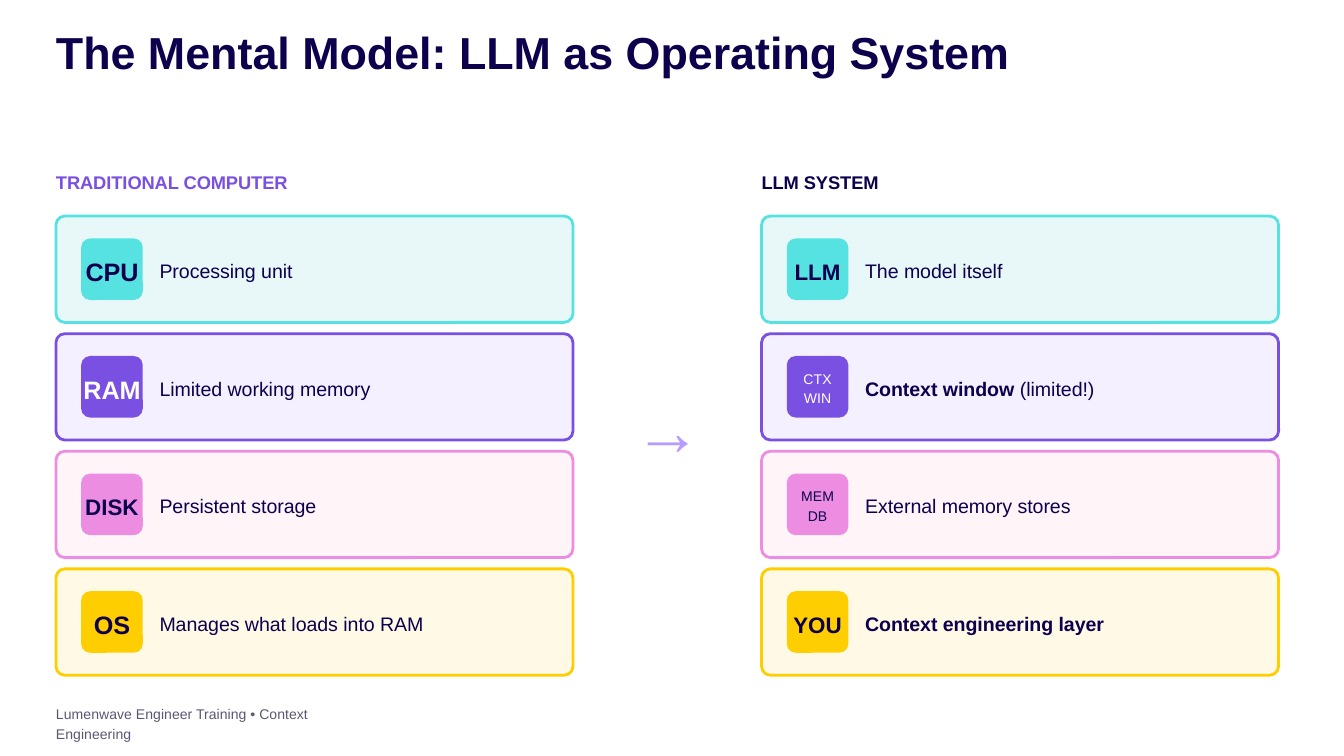
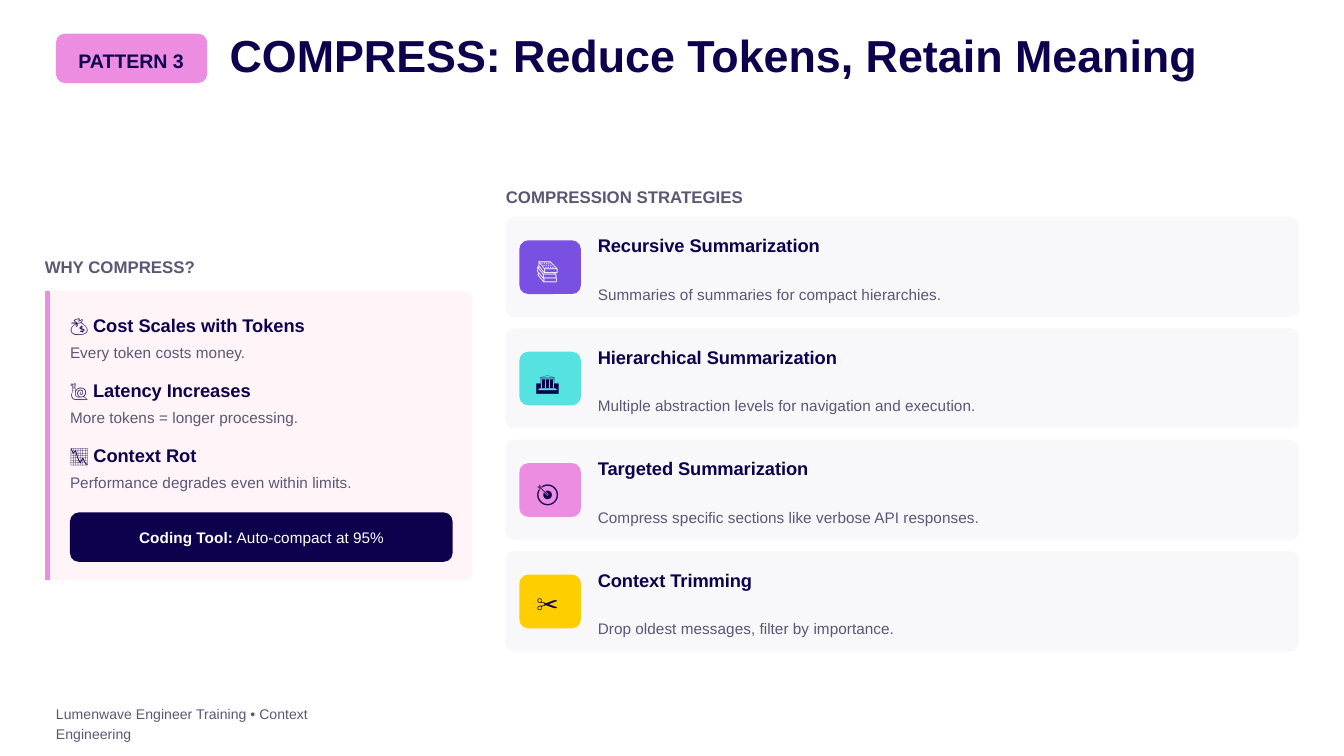
from lxml import etree
from pptx import Presentation
from pptx import util as u
from pptx.dml.color import RGBColor
from pptx.enum import shapes, text
from pptx.oxml.ns import qn

Pt = u.Pt
FONT = "Arial"
FOOTER = "Lumenwave Engineer Training • Context Engineering"
C = {
    "navy": "0D004D", "grey": "5A5775", "white": "FFFFFF", "lilac": "B79BFE",
    "teal": "56E2E1", "purple": "7950E2", "pink": "EC8DE2", "yellow": "FFCE00",
    "teal_bg": "E8F7F7", "purple_bg": "F5F0FF", "pink_bg": "FFF5F8",
    "yellow_bg": "FFF9E6", "card": "F8F7FA",
}
LEFT, CENTER = text.PP_ALIGN.LEFT, text.PP_ALIGN.CENTER


def box(s, x, y, w, h, radius, fill, line=None):
    """Rounded rectangle with a corner radius in points."""
    sp = s.shapes.add_shape(shapes.MSO_SHAPE.ROUNDED_RECTANGLE, Pt(x), Pt(y), Pt(w), Pt(h))
    sp.adjustments[0] = radius / min(w, h)
    sp.shadow.inherit = False
    sp.fill.solid()
    sp.fill.fore_color.rgb = RGBColor.from_string(C[fill])
    if line:
        sp.line.color.rgb = RGBColor.from_string(C[line])
        sp.line.width = Pt(1.5)
    else:
        sp.line.fill.background()


def write(s, x, y, w, h, words, size, color="navy", bold=False, align=LEFT, wrap=True, title=False):
    """Text without insets; a bar in a line ends its bold lead."""
    sp = s.shapes.title if title else s.shapes.add_textbox(0, 0, 0, 0)
    sp.left, sp.top, sp.width, sp.height = Pt(x), Pt(y), Pt(w), Pt(h)
    tf = sp.text_frame
    tf.margin_left = tf.margin_top = tf.margin_right = tf.margin_bottom = 0
    tf.auto_size = text.MSO_AUTO_SIZE.NONE
    tf.vertical_anchor = text.MSO_ANCHOR.TOP
    tf.word_wrap = wrap
    tf.text = words
    for p in tf.paragraphs:
        lead, _, rest = p.text.partition("|")
        p.text = lead
        if rest:
            p.add_run().text = rest
        p.alignment = align
        p.line_spacing = Pt(size if title else round(size * 1.4, 2))
        for i, r in enumerate(p.runs):
            r.font.name, r.font.size = FONT, Pt(size)
            r.font.bold = bold and i == 0
            r.font.color.rgb = RGBColor.from_string(C[color])


prs = Presentation()
prs.slide_width, prs.slide_height = Pt(720), Pt(405)
title_only = prs.slide_layouts[5]

# Slide 1: two stacks of matching cards
s = prs.slides.add_slide(title_only)
write(s, 30, 18, 521, 24, "The Mental Model: LLM as Operating System", 24, bold=True, title=True)

# Each row: chip label, label size, label width, description, bold
stacks = [
    (30, "TRADITIONAL COMPUTER", "purple", [
        ("CPU", 13.5, 29, "Processing unit", False),
        ("RAM", 13.5, 32, "Limited working memory", False),
        ("DISK", 12, 29.5, "Persistent storage", False),
        ("OS", 13.5, 20, "Manages what loads into RAM", False)]),
    (408, "LLM SYSTEM", "navy", [
        ("LLM", 12, 25, "The model itself", False),
        ("CTX\nWIN", 7.5, 15, "Context window| (limited!)", True),
        ("MEM\nDB", 7.5, 18, "External memory stores", False),
        ("YOU", 12, 26.5, "Context engineering layer", True)]),
]
hues = ["teal", "purple", "pink", "yellow"]
for x, heading, heading_color, rows in stacks:
    write(s, x, 90, 283, 13.7, heading, 9.75, heading_color, bold=True)
    for i, (hue, (label, size, label_w, desc, bold)) in enumerate(zip(hues, rows)):
        y = 115.75 + 63 * i
        box(s, x, y, 277, 57, 4.8, hue + "_bg", hue)
        box(s, x + 13.5, y + 12, 33, 33, 4.8, hue)
        lines = label.count("\n") + 1
        label_h = size * 1.4 * lines
        write(s, x + 30 - label_w / 2, y + 28.5 - label_h / 2, label_w, label_h, label, size,
              "white" if hue == "purple" else "navy", lines == 1, CENTER, wrap=False)
        write(s, x + 55.5, y + 21, 150, 14.7, desc, 10.5, bold=bold)
write(s, 340, 201, 37, 50.4, "→", 36, "lilac")

# Slide 2: pattern tag and title
s = prs.slides.add_slide(title_only)
box(s, 30, 18, 81, 26.5, 4.8, "pink")
write(s, 42, 24, 65, 14.7, "PATTERN 3", 10.5, bold=True)
write(s, 123, 19.5, 528, 24, "COMPRESS: Reduce Tokens, Retain Meaning", 24, bold=True, title=True)

# Reasons panel with accent bar
write(s, 24, 135.5, 233, 12.6, "WHY COMPRESS?", 9, "grey", bold=True)
box(s, 24, 155.75, 229, 155.25, 4.8, "pink_bg")
bar = s.shapes.add_connector(shapes.MSO_CONNECTOR.STRAIGHT, Pt(25.5), Pt(155.75), Pt(25.5), Pt(311))
bar.line.color.rgb = RGBColor.from_string(C["pink"])
bar.line.width = Pt(3)
etree.SubElement(bar.element.spPr, qn("a:effectLst"))
reasons = [
    ("💰 Cost Scales with Tokens", "Every token costs money."),
    ("🐌 Latency Increases", "More tokens = longer processing."),
    ("📉 Context Rot", "Performance degrades even within limits."),
]
for i, (reason, detail) in enumerate(reasons):
    y = 166.25 + 34.9 * i
    write(s, 37.5, y, 209, 13.7, reason, 9.75, bold=True)
    write(s, 37.5, y + 15.9, 209, 11.6, detail, 8.25, "grey")
box(s, 37.5, 274.5, 205, 26.5, 4.8, "navy")
write(s, 43.5, 281.5, 193.5, 11.6, "Coding Tool:| Auto-compact at 95%", 8.25, "white", True, CENTER)

# Strategy cards
write(s, 271, 98, 433, 12.6, "COMPRESSION STRATEGIES", 9, "grey", bold=True)
strategies = [
    ("📚", "Recursive Summarization", "Summaries of summaries for compact hierarchies."),
    ("🏛️", "Hierarchical Summarization", "Multiple abstraction levels for navigation and execution."),
    ("🎯", "Targeted Summarization", "Compress specific sections like verbose API responses."),
    ("✂️", "Context Trimming", "Drop oldest messages, filter by importance."),
]
for i, (hue, (icon, name, detail)) in enumerate(zip(["purple", "teal", "pink", "yellow"], strategies)):
    y = 116.25 + 59.7 * i
    box(s, 270.75, y, 425.25, 53.75, 4.8, "card")
    box(s, 278.25, y + 12.5, 33, 28.8, 4.8, hue)
    write(s, 287.3, y + 18.5, 15, 16.8, icon, 12, "white" if hue == "purple" else "navy")
    write(s, 320.25, y + 7.5, 375.75, 13.7, name, 9.75, bold=True)
    write(s, 320.25, y + 34.75, 375.75, 11.6, detail, 8.25, "grey")

# Shared footer
for s in prs.slides:
    write(s, 30, 376.5, 173, 10.5, FOOTER, 7.5, "grey")

prs.save("out.pptx")
